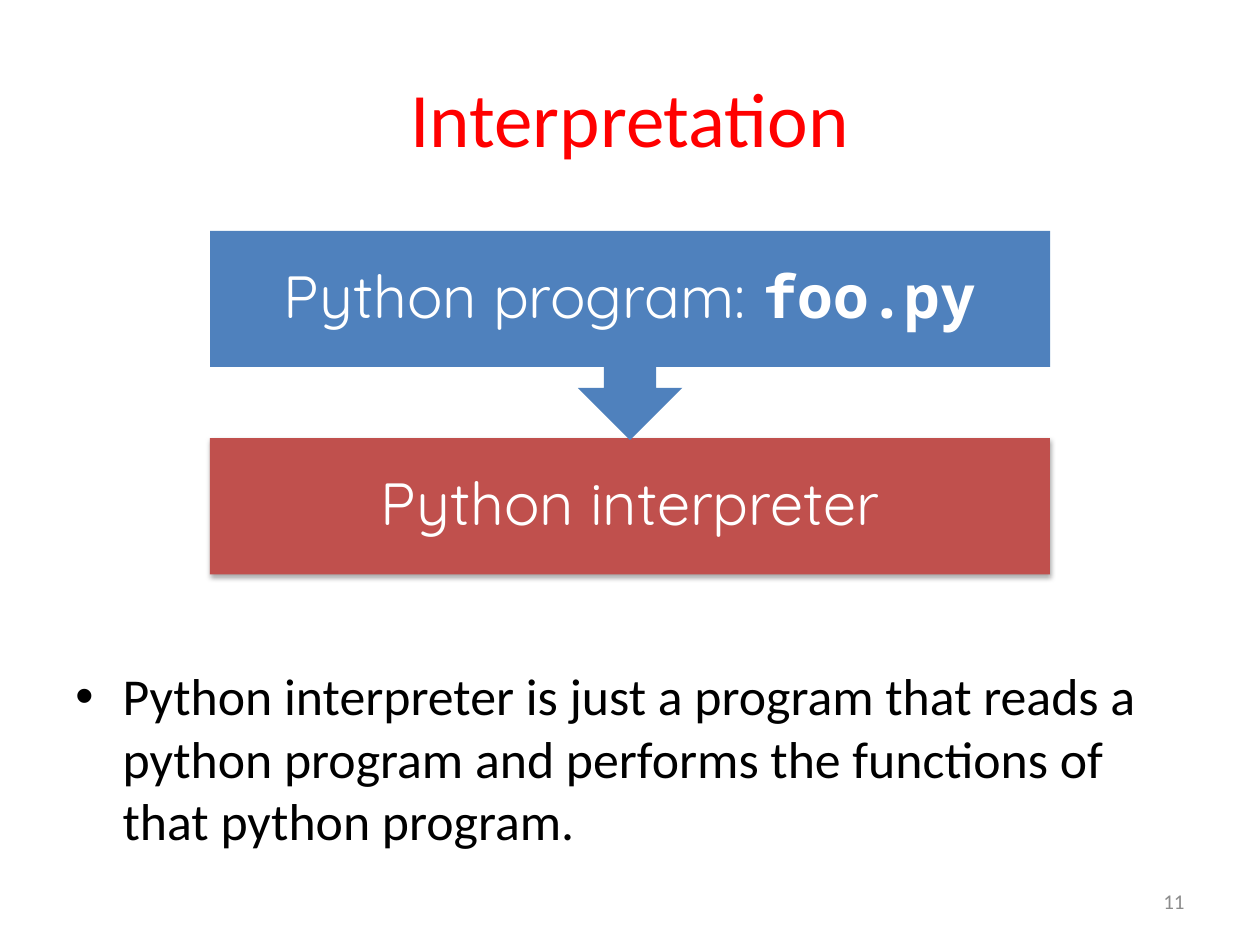
from lxml import etree
from pptx import Presentation
from pptx.dml.color import RGBColor
from pptx.enum.shapes import MSO_SHAPE
from pptx.enum.text import MSO_ANCHOR, PP_ALIGN
from pptx.oxml import parse_xml
from pptx.oxml.ns import nsdecls, qn
from pptx.util import Pt

CENTER, LEFT, RIGHT = PP_ALIGN.CENTER, PP_ALIGN.LEFT, PP_ALIGN.RIGHT
TOP, MIDDLE = MSO_ANCHOR.TOP, MSO_ANCHOR.MIDDLE
CALLOUT, RECTANGLE = MSO_SHAPE.UP_ARROW_CALLOUT, MSO_SHAPE.RECTANGLE

RED = RGBColor(0xFF, 0x00, 0x00)
BLACK = RGBColor(0x00, 0x00, 0x00)
WHITE = RGBColor(0xFF, 0xFF, 0xFF)
GRAY = RGBColor(0x8C, 0x8C, 0x8C)
BLUE = RGBColor(0x4F, 0x81, 0xBD)
BRICK = RGBColor(0xC0, 0x50, 0x4D)

# Content
TITLE = "Interpretation"
PROGRAM_LABEL = [("Python program: ", "Quicksand", False),
                 ("foo.py", "Noto Sans Mono", True)]
INTERPRETER_LABEL = [("Python interpreter", "Quicksand", False)]
EXPLANATION = ("Python interpreter is just a program that reads a python program "
               "and performs the functions of that python program.")
PAGE_NUMBER = "11"

# Diagram geometry
STEP_LEFT, STEP_WIDTH, STEP_HEIGHT = 120, 480, 77.8
PROGRAM_TOP, CALLOUT_HEIGHT, INTERPRETER_TOP = 132, 119.5, 250.4

presentation = Presentation()
presentation.slide_width, presentation.slide_height = Pt(720), Pt(540)
slide = presentation.slides.add_slide(presentation.slide_layouts[6])


def add_text(box, runs, size, color, alignment, anchor=MIDDLE):
    """Add a text box of (text, font, bold) runs and return its paragraph."""
    text_frame = slide.shapes.add_textbox(*map(Pt, box)).text_frame
    text_frame.word_wrap = True
    text_frame.vertical_anchor = anchor
    paragraph = text_frame.paragraphs[0]
    paragraph.alignment = alignment
    for text, font_name, bold in runs:
        run = paragraph.add_run()
        run.text = text
        run.font.name, run.font.size, run.font.bold = font_name, Pt(size), bold
        run.font.color.rgb = color
    return paragraph


def add_step(kind, top, height, fill, label):
    """Add a filled diagram step with its label and return the shape."""
    shape = slide.shapes.add_shape(kind, *map(Pt, (STEP_LEFT, top, STEP_WIDTH, height)))
    shape.shadow.inherit = False
    shape.fill.solid()
    shape.fill.fore_color.rgb = fill
    shape.line.fill.background()
    paragraph = add_text((STEP_LEFT, top, STEP_WIDTH, STEP_HEIGHT), label, 34, WHITE, CENTER)
    paragraph.line_spacing = 0.9
    return shape


# Title
add_text((36, 21.6, 648, 90), [(TITLE, "Calibri", False)], 44, RED, CENTER)

# Diagram: the interpreter lies under the tip of the program's arrow
interpreter = add_step(RECTANGLE, INTERPRETER_TOP, STEP_HEIGHT, BRICK, INTERPRETER_LABEL)
effects = interpreter.element.spPr.find(qn("a:effectLst"))
effects.append(parse_xml(
    f'<a:outerShdw {nsdecls("a")} blurRad="{Pt(3.1)}" dist="{Pt(1.8)}" dir="5400000" '
    'rotWithShape="0"><a:srgbClr val="000000"><a:alpha val="35000"/></a:srgbClr></a:outerShdw>'))
program = add_step(CALLOUT, PROGRAM_TOP, CALLOUT_HEIGHT, BLUE, PROGRAM_LABEL)
program.rotation = 180

# Explanation with a hanging bullet
bullet = add_text((36, 376, 648, 116), [(EXPLANATION, "Calibri", False)], 29.6, BLACK, LEFT, TOP)
properties = bullet._p.get_or_add_pPr()
properties.set("marL", str(Pt(27)))
properties.set("indent", str(Pt(-27)))
etree.SubElement(properties, qn("a:buFont"), typeface="Arial")
etree.SubElement(properties, qn("a:buChar"), char="•")

# Page number
add_text((516, 500.4, 168, 28.8), [(PAGE_NUMBER, "Calibri", False)], 12, GRAY, RIGHT)

presentation.save("out.pptx")
